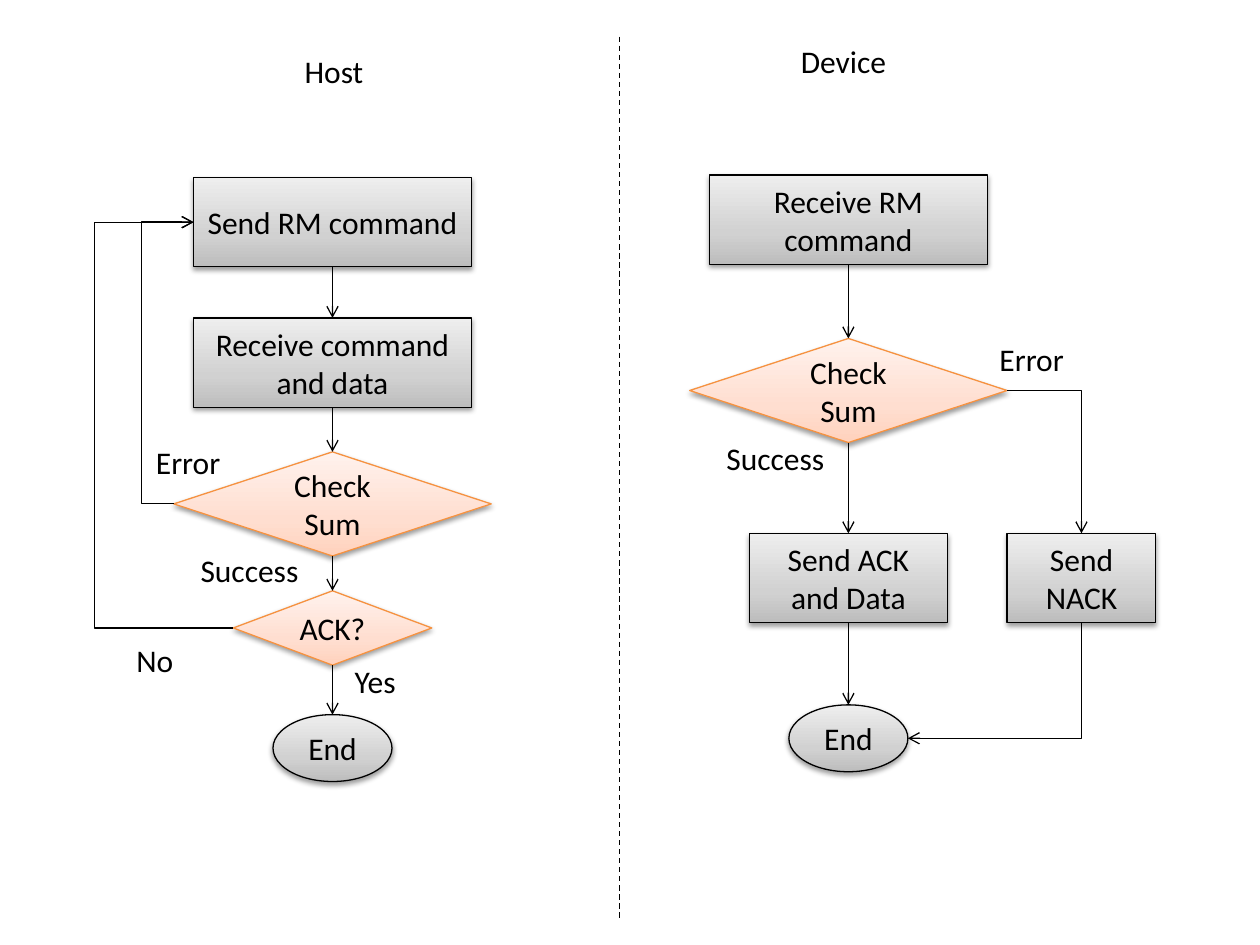
import dataclasses

import pptx
import pptx.dml.color
import pptx.enum.dml
import pptx.enum.shapes
import pptx.enum.text
import pptx.oxml
import pptx.oxml.ns
import pptx.util

Pt = pptx.util.Pt
qn = pptx.oxml.ns.qn
SHAPES = pptx.enum.shapes.MSO_SHAPE
CONNECTORS = pptx.enum.shapes.MSO_CONNECTOR
ALIGN = pptx.enum.text.PP_ALIGN

BLACK = "000000"
GREY_STOPS = ((0, "BDBDBD"), (35, "D1D1D1"), (100, "EEEEEE"))
PEACH_STOPS = ((0, "FFD2BD"), (35, "FFDED0"), (100, "FFF2ED"))
HOST_AXIS, DEVICE_AXIS, NACK_AXIS = 190, 484.8, 618


@dataclasses.dataclass(frozen=True)
class Kind:
    preset: int
    height: float
    stops: tuple
    outline: str


@dataclasses.dataclass(frozen=True)
class Node:
    kind: Kind
    text: str
    axis: float
    top: float
    width: float

    @property
    def left(self) -> float:
        return self.axis - self.width / 2

    @property
    def right(self) -> float:
        return self.axis + self.width / 2

    @property
    def bottom(self) -> float:
        return self.top + self.kind.height

    @property
    def middle(self) -> float:
        return self.top + self.kind.height / 2


@dataclasses.dataclass(frozen=True)
class Label:
    text: str
    left: float
    top: float
    width: float


STEP = Kind(SHAPES.RECTANGLE, 51, GREY_STOPS, BLACK)
CHECK = Kind(SHAPES.FLOWCHART_DECISION, 59.5, PEACH_STOPS, "F69240")
QUESTION = dataclasses.replace(CHECK, height=42.5)
FINISH = Kind(SHAPES.OVAL, 38.2, GREY_STOPS, BLACK)

host_send = Node(STEP, "Send RM command", HOST_AXIS, 101.5, 158.8)
host_receive = Node(STEP, "Receive command and data", HOST_AXIS, 181.7, 158.8)
host_check = Node(CHECK, "Check Sum", HOST_AXIS, 258.2, 181.4)
host_ack = Node(QUESTION, "ACK?", HOST_AXIS, 337.6, 113.4)
host_end = Node(FINISH, "End", HOST_AXIS, 408.4, 68)
device_receive = Node(STEP, "Receive RM command", DEVICE_AXIS, 100, 158.8)
device_check = Node(CHECK, "Check Sum", DEVICE_AXIS, 193.4, 181.4)
device_ack = Node(STEP, "Send ACK and Data", DEVICE_AXIS, 304.8, 113.4)
device_nack = Node(STEP, "Send NACK", NACK_AXIS, 304.8, 85)
device_end = Node(FINISH, "End", DEVICE_AXIS, 402.8, 68)

FLOWS = (
    (host_send, host_receive, host_check, host_ack, host_end),
    (device_receive, device_check, device_ack, device_end),
)
LABELS = (
    Label("Host", 167, 26.2, 48.2),
    Label("Device", 450.5, 20.6, 64.1),
    Label("Success", 408, 247.5, 71.3),
    Label("Error", 564, 190.8, 51.8),
    Label("Success", 107.5, 311.3, 71.3),
    Label("Error", 82, 249.7, 51.8),
    Label("Yes", 195.6, 374.7, 38.2),
    Label("No", 70.8, 363, 36),
)

deck = pptx.Presentation()
deck.slide_width, deck.slide_height = Pt(720), Pt(540)
slide = deck.slides.add_slide(deck.slide_layouts[6])


def rgb(value: str):
    return pptx.dml.color.RGBColor.from_string(value)


def add_element(parent, tag: str, **attributes):
    element = pptx.oxml.parse_xml(f"<{tag} {pptx.oxml.ns.nsdecls('a')}/>")
    for name, value in attributes.items():
        element.set(name, str(value))
    parent.append(element)
    return element


def write(frame, text: str, align=ALIGN.LEFT, size: float = 18, color: str = BLACK) -> None:
    paragraph = frame.paragraphs[0]
    paragraph.alignment = align
    run = paragraph.add_run()
    run.text = text
    run.font.name = "Calibri"
    run.font.size = Pt(size)
    run.font.color.rgb = rgb(color)


def draw_node(node: Node):
    shape = slide.shapes.add_shape(
        node.kind.preset, Pt(node.left), Pt(node.top), Pt(node.width), Pt(node.kind.height))
    shape.fill.gradient()
    shape.fill.gradient_angle = 90
    properties = shape._element.spPr
    stops = properties.find(qn("a:gradFill")).find(qn("a:gsLst"))
    for stop in list(stops):
        stops.remove(stop)
    for position, color in node.kind.stops:
        add_element(add_element(stops, "a:gs", pos=position * 1000), "a:srgbClr", val=color)
    shape.line.color.rgb = rgb(node.kind.outline)
    shape.line.width = Pt(0.75)
    shape.shadow.inherit = False
    shadow = add_element(properties.find(qn("a:effectLst")), "a:outerShdw", blurRad=Pt(3.1),
                         dist=Pt(1.6), dir=90 * 60000, rotWithShape=0)
    add_element(add_element(shadow, "a:srgbClr", val=BLACK), "a:alpha", val=38000)
    shape.text_frame.word_wrap = True
    shape.text_frame.vertical_anchor = pptx.enum.text.MSO_ANCHOR.MIDDLE
    write(shape.text_frame, node.text, align=ALIGN.CENTER)
    return shape


def draw_label(label: Label) -> None:
    box = slide.shapes.add_textbox(Pt(label.left), Pt(label.top), Pt(label.width), Pt(29))
    box.text_frame.word_wrap = False
    box.text_frame.auto_size = pptx.enum.text.MSO_AUTO_SIZE.SHAPE_TO_FIT_TEXT
    write(box.text_frame, label.text)


def draw_line(start: tuple, end: tuple, kind=CONNECTORS.STRAIGHT, arrow: bool = True):
    line = slide.shapes.add_connector(kind, *(Pt(value) for value in start + end))
    line.line.color.rgb = rgb(BLACK)
    line.line.width = Pt(0.75)
    properties = line._element.spPr
    if arrow:
        add_element(properties.find(qn("a:ln")), "a:tailEnd", type="arrow")
    add_element(properties, "a:effectLst")
    return line


def draw_corner(start: tuple, end: tuple, quarter_turn: bool = False) -> None:
    if quarter_turn:
        middle_x, middle_y = (start[0] + end[0]) / 2, (start[1] + end[1]) / 2
        half_x, half_y = abs(end[1] - start[1]) / 2, abs(end[0] - start[0]) / 2
        start = (middle_x - half_x, middle_y - half_y)
        end = (middle_x + half_x, middle_y + half_y)
    properties = draw_line(start, end, CONNECTORS.ELBOW)._element.spPr
    properties.find(qn("a:prstGeom")).set("prst", "bentConnector2")
    if quarter_turn:
        properties.find(qn("a:xfrm")).set("rot", str(90 * 60000))


def draw_return(source: Node, target: Node, lane: float) -> None:
    start, end = (source.left, source.middle), (target.left, target.middle)
    loop = draw_line(start, end, CONNECTORS.ELBOW)
    bend = round((lane - start[0]) / (end[0] - start[0]) * 100000)
    guides = loop._element.spPr.find(qn("a:prstGeom")).find(qn("a:avLst"))
    add_element(guides, "a:gd", name="adj1", fmla=f"val {bend}")


divider = draw_line((354.2, 21), (354.2, 525), arrow=False)
divider.line.dash_style = pptx.enum.dml.MSO_LINE.DASH

for flow in FLOWS:
    steps = [draw_node(node) for node in flow]
    for (upper, lower), (source, target) in zip(zip(flow, flow[1:]), zip(steps, steps[1:])):
        arrow = draw_line((upper.axis, upper.bottom), (lower.axis, lower.top))
        arrow.begin_connect(source, 4 if upper.kind is FINISH else 2)
        arrow.end_connect(target, 0)

draw_node(device_nack)
draw_corner((device_check.right, device_check.middle), (device_nack.axis, device_nack.top))
draw_corner((device_nack.axis, device_nack.bottom), (device_end.right, device_end.middle),
            quarter_turn=True)
draw_return(host_check, host_send, lane=81)
draw_return(host_ack, host_send, lane=54)

for label in LABELS:
    draw_label(label)

deck.save("out.pptx")
